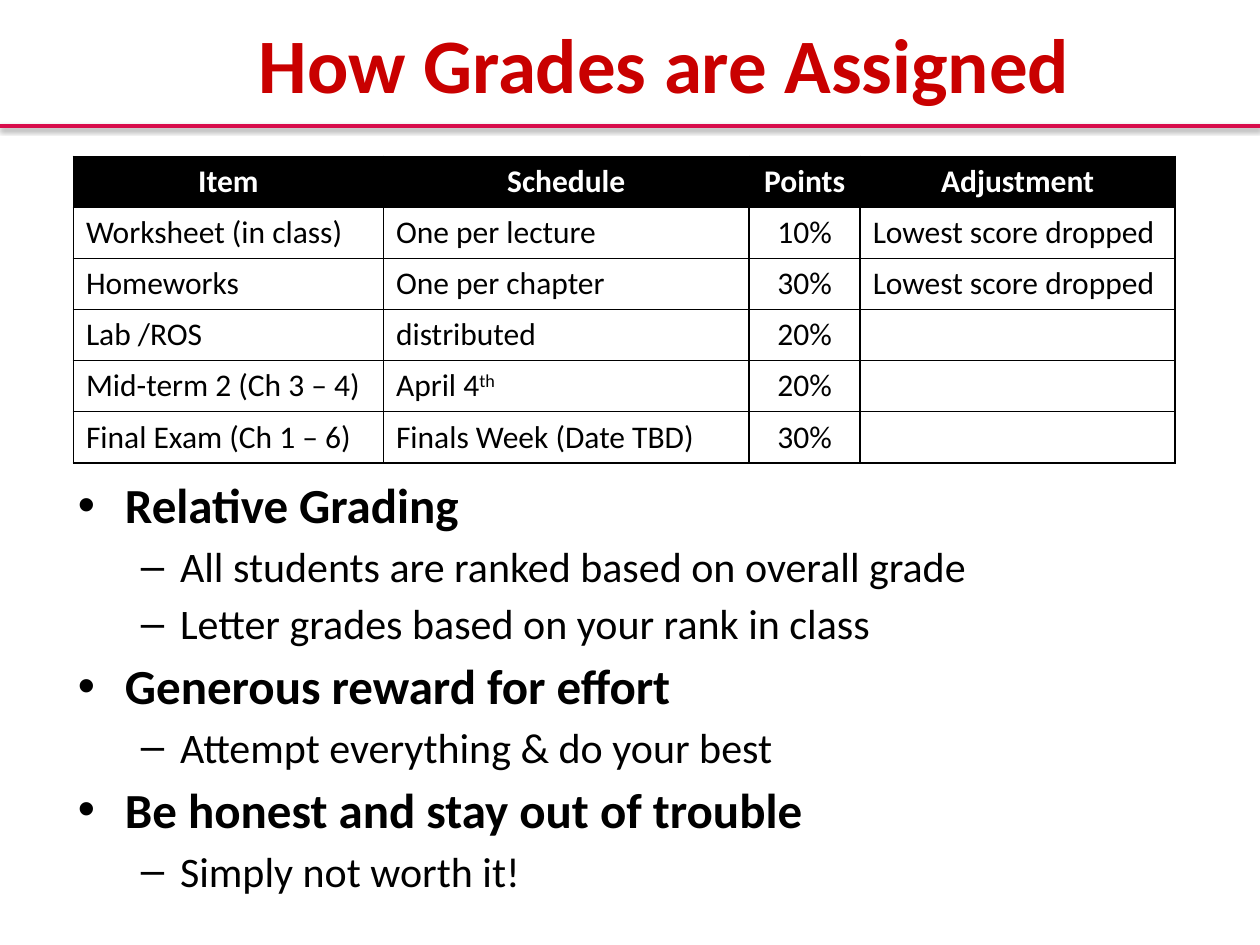
"""Build the slide that explains how course grades are assigned."""
from lxml.etree import SubElement
from pptx import Presentation
from pptx.dml.color import RGBColor
from pptx.enum.shapes import MSO_CONNECTOR
from pptx.enum.text import MSO_ANCHOR, PP_ALIGN
from pptx.oxml import parse_xml
from pptx.oxml.ns import nsdecls, qn
from pptx.util import Cm, Pt

RED = RGBColor(0xC9, 0x00, 0x00)
CRIMSON = RGBColor(0xD8, 0x0D, 0x4C)
BLACK = RGBColor(0x00, 0x00, 0x00)
WHITE = RGBColor(0xFF, 0xFF, 0xFF)

COLUMN_WIDTHS = [6.25, 7.37, 2.24, 6.35]
POINTS_COLUMN = 2
GRADE_ROWS = [
    ["Item", "Schedule", "Points", "Adjustment"],
    ["Worksheet (in class)", "One per lecture", "10%", "Lowest score dropped"],
    ["Homeworks", "One per chapter", "30%", "Lowest score dropped"],
    ["Lab /ROS", "distributed", "20%", ""],
    ["Mid-term 2 (Ch 3 – 4)", "April 4^th", "20%", ""],
    ["Final Exam (Ch 1 – 6)", "Finals Week (Date TBD)", "30%", ""],
]
POLICIES = [
    (0, "Relative Grading"),
    (1, "All students are ranked based on overall grade"),
    (1, "Letter grades based on your rank in class"),
    (0, "Generous reward for effort"),
    (1, "Attempt everything & do your best"),
    (0, "Be honest and stay out of trouble"),
    (1, "Simply not worth it!"),
]
LEVELS = [
    {"size": 28, "bold": True, "bullet": "•", "margin": 0.95, "hang": 0.95},
    {"size": 24, "bold": False, "bullet": "–", "margin": 2.06, "hang": 0.79},
]


class GradeSlide:
    """Hold the font and the slide, and draw each kind of element."""

    font = "Calibri"

    def __init__(self, prs):
        self.s = prs.slides.add_slide(prs.slide_layouts[6])

    def format_runs(self, p, size, color, bold=False):
        for r in p.runs:
            r.font.name = self.font
            r.font.size = Pt(size)
            r.font.bold = bold
            r.font.color.rgb = color

    def text_box(self, left, top, width, height):
        tf = self.s.shapes.add_textbox(Cm(left), Cm(top), Cm(width), Cm(height)).text_frame
        tf.word_wrap = True
        return tf

    def title(self, text, left, top, width, height):
        tf = self.text_box(left, top, width, height)
        tf.vertical_anchor = MSO_ANCHOR.MIDDLE
        tf.text = text
        p = tf.paragraphs[0]
        p.alignment = PP_ALIGN.CENTER
        self.format_runs(p, 44, RED, bold=True)

    def rule(self, top, width):
        line = self.s.shapes.add_connector(
            MSO_CONNECTOR.STRAIGHT, Cm(0), Cm(top), Cm(width), Cm(top))
        line.line.color.rgb = CRIMSON
        line.line.width = Pt(2)
        line._element.spPr.append(parse_xml(
            f'<a:effectLst {nsdecls("a")}>'
            f'<a:outerShdw blurRad="{Pt(3.1)}" dist="{Pt(1.6)}" dir="5400000" rotWithShape="0">'
            '<a:srgbClr val="000000"><a:alpha val="38000"/></a:srgbClr>'
            '</a:outerShdw></a:effectLst>'))

    def border(self, cell):
        for side in ("lnL", "lnR", "lnT", "lnB"):
            cell._tc.get_or_add_tcPr().append(parse_xml(
                f'<a:{side} {nsdecls("a")} w="{Pt(1)}"><a:solidFill>'
                f'<a:srgbClr val="{BLACK}"/></a:solidFill></a:{side}>'))

    def cell(self, cell, text, header, centered):
        self.border(cell)
        cell.fill.solid()
        cell.fill.fore_color.rgb = BLACK if header else WHITE
        base, _, superscript = text.partition("^")
        cell.text_frame.text = base
        p = cell.text_frame.paragraphs[0]
        p.alignment = PP_ALIGN.CENTER if centered else PP_ALIGN.LEFT
        if superscript:
            r = p.add_run()
            r.text = superscript
            r._r.get_or_add_rPr().set("baseline", "30000")
        self.format_runs(p, 18, WHITE if header else BLACK, bold=header)

    def table(self, rows, widths, left, top, row_height):
        table = self.s.shapes.add_table(
            len(rows), len(widths), Cm(left), Cm(top),
            Cm(sum(widths)), Cm(row_height * len(rows))).table
        table.horz_banding = False
        for column, width in zip(table.columns, widths):
            column.width = Cm(width)
        for i, row in enumerate(rows):
            table.rows[i].height = Cm(row_height)
            for j, text in enumerate(row):
                self.cell(table.cell(i, j), text, i == 0, i == 0 or j == POINTS_COLUMN)

    def bullets(self, items, left, top, width, height):
        tf = self.text_box(left, top, width, height)
        for i, (level, text) in enumerate(items):
            style = LEVELS[level]
            p = tf.add_paragraph() if i else tf.paragraphs[0]
            p.text = text
            p.level = level
            if i:
                p.space_before = Pt(round(style["size"] * 0.16, 1))
            pPr = p._p.get_or_add_pPr()
            pPr.set("marL", str(Cm(style["margin"])))
            pPr.set("indent", str(-Cm(style["hang"])))
            SubElement(pPr, qn("a:buFont"), typeface="Arial")
            SubElement(pPr, qn("a:buChar"), char=style["bullet"])
            self.format_runs(p, style["size"], BLACK, style["bold"])


def main():
    prs = Presentation()
    prs.slide_width, prs.slide_height = Cm(25.4), Cm(19.05)
    slide = GradeSlide(prs)
    slide.rule(2.54, 25.4)
    slide.table(GRADE_ROWS, COLUMN_WIDTHS, 1.48, 3.15, 1.03)
    slide.title("How Grades are Assigned", 2.67, 0, 21.46, 2.54)
    slide.bullets(POLICIES, 1.32, 9.45, 22.86, 8.46)
    prs.save("out.pptx")


if __name__ == "__main__":
    main()
